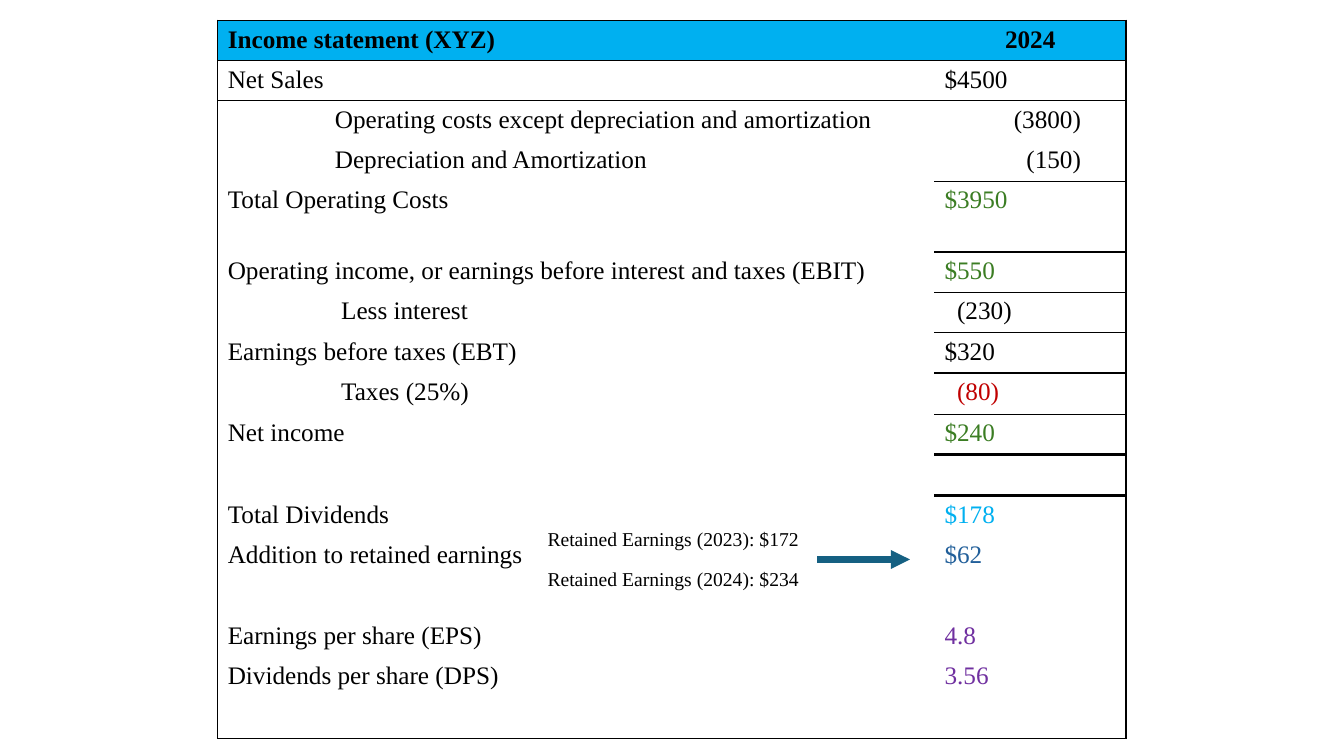
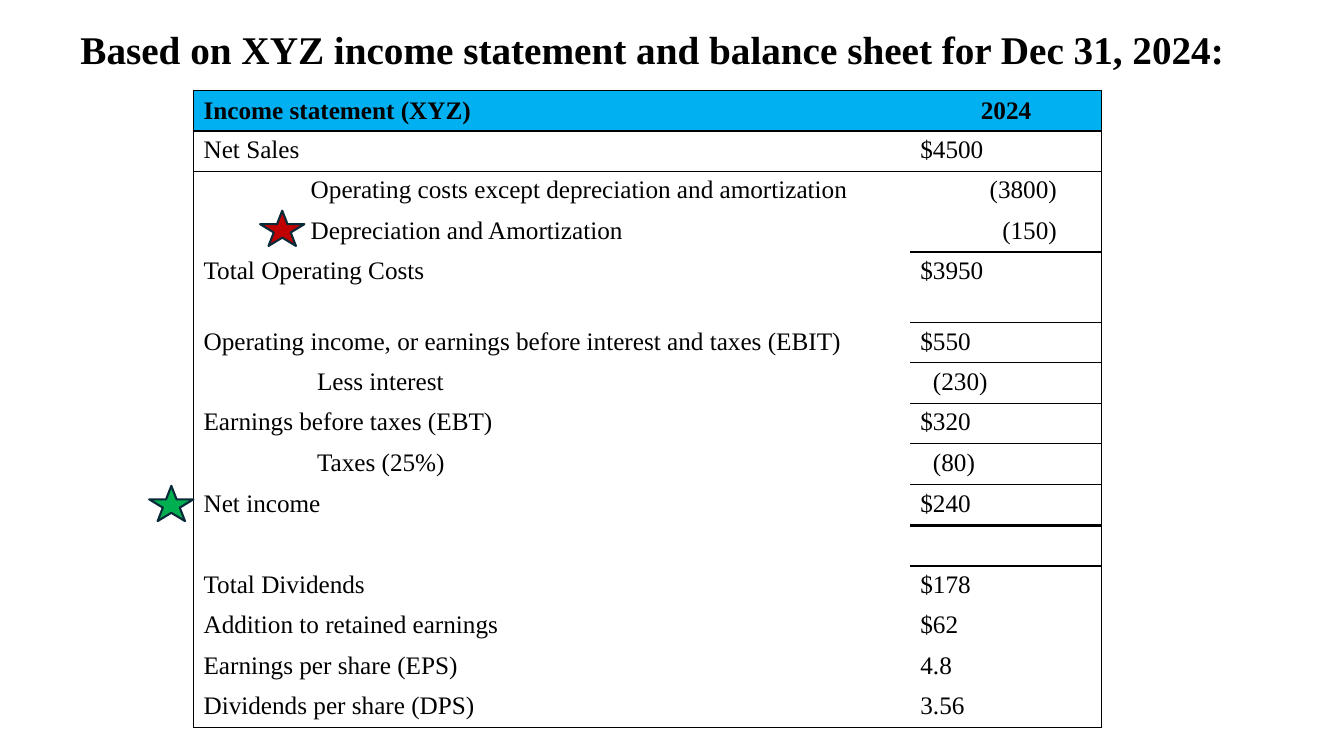
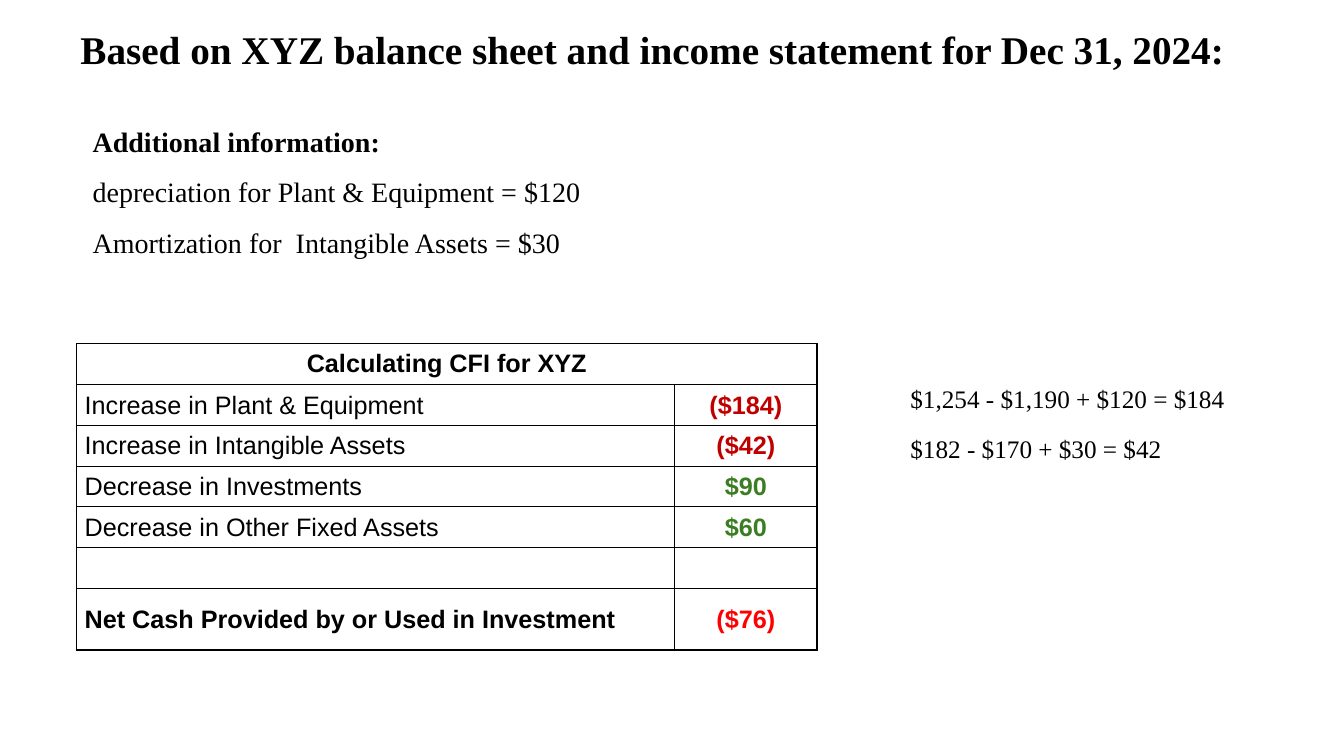
from lxml.etree import SubElement
from pptx import Presentation
from pptx.dml.color import RGBColor
from pptx.enum.shapes import MSO_CONNECTOR, MSO_SHAPE
from pptx.enum.text import MSO_ANCHOR, PP_ALIGN
from pptx.oxml.ns import qn
from pptx.util import Inches, Pt

HUES = {
    "ink": "000000", "sky": "00B0F0", "green": "3B7D23", "red": "C00000",
    "blue": "215F9A", "plum": "7030A0", "teal": "156082", "edge": "092A39",
    "leaf": "00B050", "alert": "FF0000",
}
TINT = {name: RGBColor.from_string(code) for name, code in HUES.items()}
SERIF, SANS = "Times New Roman", "Arial"
BARE = "{2D5ABB26-0587-4C30-8999-92F81FD0307C}"  # table style without grid

deck = Presentation()
deck.slide_width, deck.slide_height = Inches(13.33), Inches(7.5)
COL, ROW = deck.slide_width / 100, deck.slide_height / 75
SPACE = Pt(4.5)  # one blank at 18 pt


def put(frame, text, size=18, hue="ink", bold=False, face=SERIF, align=PP_ALIGN.LEFT):
    """Fill a text frame and format each paragraph and run."""
    frame.text = text
    frame.word_wrap = True
    for para in frame.paragraphs:
        para.alignment = align
        for run in para.runs:
            run.font.size, run.font.bold, run.font.name = Pt(size), bold, face
            run.font.color.rgb = TINT[hue]


def rule(cell, **sides):
    """Draw cell borders; sides L, R, T, B give widths in points."""
    props = cell._tc.get_or_add_tcPr()
    for side in "LRTB":
        if sides.get(side):
            line = SubElement(props, qn("a:ln" + side), w=str(Pt(sides[side])))
            fill = SubElement(line, qn("a:solidFill"))
            SubElement(fill, qn("a:srgbClr"), val=HUES["ink"])


slides = [deck.slides.add_slide(deck.slide_layouts[6]) for _ in range(3)]
first, second, third = slides

# Text boxes: slide, left, top, width, height, text, size, bold
notes = [
    (second, 5.25, 2, 87.5, 5.7,
     "Based on XYZ income statement and balance sheet for Dec 31, 2024:", 28, True),
    (third, 5.25, 2, 87.5, 5.7,
     "Based on XYZ balance sheet and income statement for Dec 31, 2024:", 28, True),
    (third, 6.15, 10.2, 40, 15.6,
     "Additional information:\ndepreciation for Plant & Equipment = $120\n"
     "Amortization for  Intangible Assets = $30", 20, False),
    (third, 67, 37.5, 26, 4, "$1,254 - $1,190 + $120 = $184", 18, False),
    (third, 67, 42.5, 26, 4, "$182 - $170 + $30 = $42", 18, False),
]

# Income statement: label, its indent, value, its indent, value colour
full = [
    ("Net Sales", 0, "$4500", 0, "ink"),
    ("Operating costs except depreciation and amortization", 17, "(3800)", 11, "ink"),
    ("Depreciation and Amortization", 17, "(150)", 13, "ink"),
    ("Total Operating Costs", 0, "$3950", 0, "green"),
    ("Operating income, or earnings before interest and taxes (EBIT)", 0,
     "$550", 0, "green"),
    ("Less interest", 18, "(230)", 2, "ink"),
    ("Earnings before taxes (EBT)", 0, "$320", 0, "ink"),
    ("Taxes (25%)", 18, "(80)", 2, "red"),
    ("Net income", 0, "$240", 0, "green"),
    ("", 0, "", 0, "ink"),
    ("Total Dividends", 0, "$178", 0, "sky"),
    ("Addition to retained earnings", 0, "$62", 0, "blue"),
    ("", 0, "", 0, "ink"),
    ("Earnings per share (EPS)", 0, "4.8", 0, "plum"),
    ("Dividends per share (DPS)", 0, "3.56", 0, "plum"),
    ("", 0, "", 0, "ink"),
]
brief = full[:12] + full[13:15]
lines = {3: 1, 4: 1, 6: 1, 8: 1, 9: 2.25}  # width under a row's value
tall = {4: 7, 8: 4.1}

for slide, left, top, items, vivid in [
    (first, 16.2, 2, full, True), (second, 14.4, 9, brief, False),
]:
    last = len(items)
    highs = [tall.get(n, 4) for n in range(last + 1)]
    frame = slide.shapes.add_table(
        last + 1, 2, int(left * COL), int(top * ROW),
        int(67.58 * COL), int(sum(highs) * ROW))
    frame._element.find(".//" + qn("a:tableStyleId")).text = BARE
    grid = frame.table
    for n, share in enumerate((53.33, 14.25)):
        grid.columns[n].width = int(share * COL)
    heads = ("Income statement (XYZ)", 0, "2024", 0, "ink")
    for r, (label, shift, value, inset, hue) in enumerate([heads] + items):
        grid.rows[r].height = int(highs[r] * ROW)
        for c, (text, pad) in enumerate([(label, shift), (value, inset)]):
            cell = grid.cell(r, c)
            ends = {-1: 1, 0: 1, last: 1}
            under = ends if c == 0 else {**lines, **ends}
            rule(cell, **{"LR"[c]: 1}, T=under.get(r - 1), B=under.get(r))
            cell.margin_left = Inches(0.1) + pad * SPACE
            if r == 0:
                cell.fill.solid()
                cell.fill.fore_color.rgb = TINT["sky"]
                cell.vertical_anchor = MSO_ANCHOR.MIDDLE
            else:
                cell.fill.background()
            put(cell.text_frame, text, bold=r == 0,
                hue=hue if c and vivid else "ink",
                align=PP_ALIGN.CENTER if c and r == 0 else PP_ALIGN.LEFT)

# Retained earnings, with an arrow to the addition
notes.append((first, 40, 51.8, 22, 7.4,
              "Retained Earnings (2023): $172\nRetained Earnings (2024): $234", 14, False))
boxes = []
for slide, left, top, width, height, text, size, bold in notes:
    box = slide.shapes.add_textbox(
        int(left * COL), int(top * ROW), int(width * COL), int(height * ROW))
    put(box.text_frame, text, size, bold=bold)
    boxes.append(box)
boxes[-1].text_frame.paragraphs[0].space_after = Pt(12)
facts = boxes[2].text_frame.paragraphs
for para in facts:
    para.line_spacing = 1.5
facts[0].runs[0].font.bold = True

arrow = first.shapes.add_connector(
    MSO_CONNECTOR.STRAIGHT, int(60.8 * COL), int(55.5 * ROW),
    int(67.7 * COL), int(55.5 * ROW))
arrow.line.width = Pt(4.5)
arrow.line.color.rgb = TINT["teal"]
SubElement(arrow.line._get_or_add_ln(), qn("a:tailEnd"), type="triangle")
SubElement(arrow._element.spPr, qn("a:effectLst"))

for left, top, hue in [(11.1, 48.2, "leaf"), (19.35, 20.9, "red")]:
    star = second.shapes.add_shape(
        MSO_SHAPE.STAR_5_POINT, int(left * COL), int(top * ROW),
        int(3.3 * COL), int(3.5 * ROW))
    star.shadow.inherit = False
    star.fill.solid()
    star.fill.fore_color.rgb = TINT[hue]
    star.line.color.rgb = TINT["edge"]
    star.line.width = Pt(1.5)

# Cash flow from investing: label, value, value colour
flows = [
    ("Calculating CFI for XYZ", "", "ink"),
    ("Increase in Plant & Equipment", "($184)", "red"),
    ("Increase in Intangible Assets", "($42)", "red"),
    ("Decrease in Investments", "$90", "green"),
    ("Decrease in Other Fixed Assets", "$60", "green"),
    ("", "", "ink"),
    ("Net Cash Provided by or Used in Investment", "($76)", "alert"),
]
end = len(flows) - 1
frame = third.shapes.add_table(
    end + 1, 2, int(5.7 * COL), int(34.1 * ROW), int(55.1 * COL), int(30.4 * ROW))
frame._element.find(".//" + qn("a:tableStyleId")).text = BARE
grid = frame.table
for n, share in enumerate((44.5, 10.6)):
    grid.columns[n].width = int(share * COL)
for r, (label, value, hue) in enumerate(flows):
    grid.rows[r].height = int((6.1 if r == end else 4.05) * ROW)
    for c, text in enumerate((label, value)):
        cell = grid.cell(r, c)
        rule(cell, L=1, R=1, T=1, B=1)
        cell.fill.background()
        cell.vertical_anchor = MSO_ANCHOR.MIDDLE
        if text and r:
            cell.margin_left = Inches(0.01 if c else 0.08)
            cell.margin_right = cell.margin_top = Inches(0.01)
            cell.margin_bottom = 0
        put(cell.text_frame, text, hue=hue if c else "ink", face=SANS,
            bold=c == 1 or r in (0, end),
            align=PP_ALIGN.CENTER if c or r == 0 else PP_ALIGN.LEFT)
grid.cell(0, 0).merge(grid.cell(0, 1))

deck.save("out.pptx")
